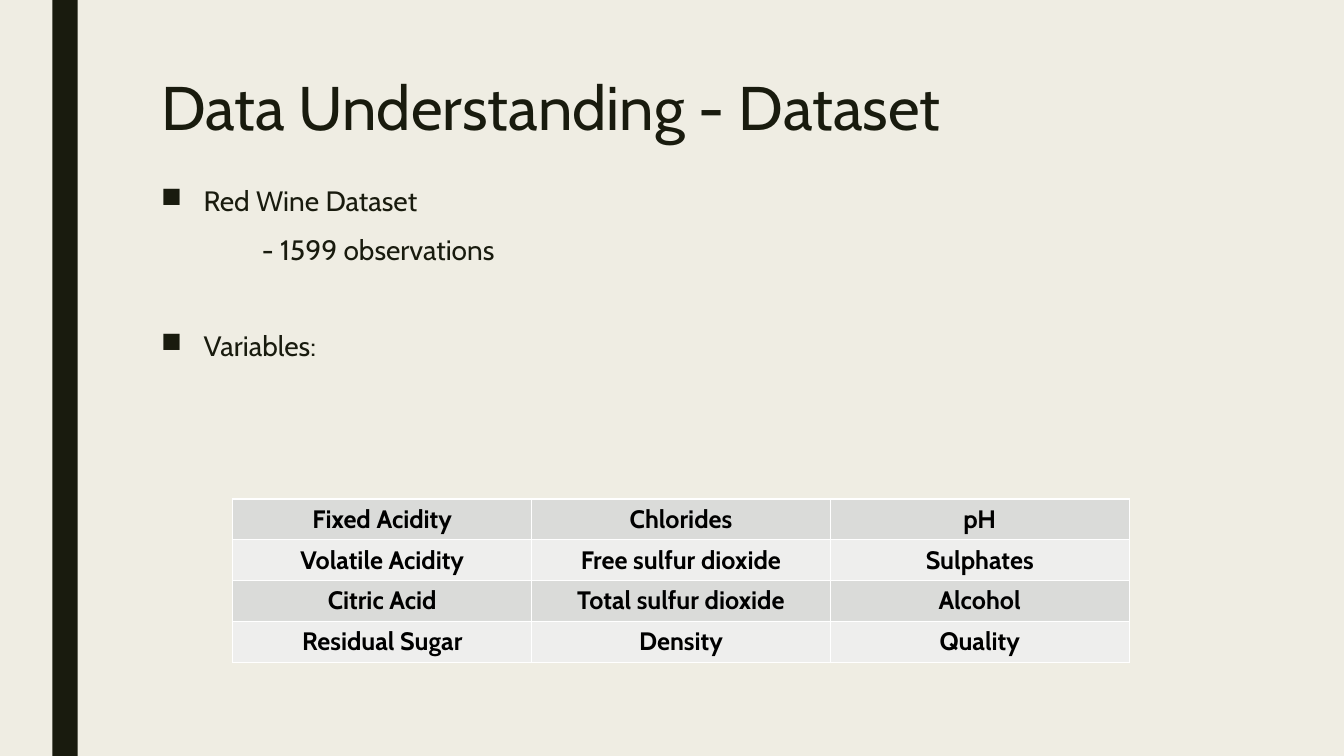
import dataclasses

import lxml.etree
import pptx
import pptx.dml.color
import pptx.enum.shapes
import pptx.enum.text
import pptx.oxml
import pptx.oxml.ns
import pptx.util

Inches = pptx.util.Inches
Pt = pptx.util.Pt
qn = pptx.oxml.ns.qn


@dataclasses.dataclass(frozen=True)
class Theme:
    font: str = "Cabin"
    background: str = "EFEDE3"
    ink: str = "191B0E"
    cell_ink: str = "000000"
    border: str = "FFFFFF"
    bands: tuple = ("DADBD9", "EEEEED")
    title_size: int = 44
    body_size: int = 20
    cell_size: int = 18


THEME = Theme()
BULLET_INDENT = 0.42
VARIABLES = [
    ["Fixed Acidity", "Chlorides", "pH"],
    ["Volatile Acidity", "Free sulfur dioxide", "Sulphates"],
    ["Citric Acid", "Total sulfur dioxide", "Alcohol"],
    ["Residual Sugar", "Density", "Quality"],
]


def set_fill(fill, color):
    fill.solid()
    fill.fore_color.rgb = pptx.dml.color.RGBColor.from_string(color)


def format_runs(p, size, color, bold=False):
    for r in p.runs:
        r.font.name = THEME.font
        r.font.size = Pt(size)
        r.font.bold = bold
        r.font.color.rgb = pptx.dml.color.RGBColor.from_string(color)


def set_indent(p, left, first=0, bullet=None):
    pPr = p._p.get_or_add_pPr()
    pPr.set("marL", str(Inches(left)))
    pPr.set("indent", str(Inches(first)))
    if bullet:
        lxml.etree.SubElement(pPr, qn("a:buChar")).set("char", bullet)


def add_side_bar(s, left, top, width, height):
    sp = s.shapes.add_shape(
        pptx.enum.shapes.MSO_SHAPE.RECTANGLE,
        Inches(left), Inches(top), Inches(width), Inches(height))
    sp.shadow.inherit = False
    set_fill(sp.fill, THEME.ink)
    sp.line.fill.background()


def place_title(s, left, top, width, height):
    sp = s.shapes.title
    sp.left, sp.top = Inches(left), Inches(top)
    sp.width, sp.height = Inches(width), Inches(height)
    tf = sp.text_frame
    tf.text = "Data Understanding - Dataset"
    tf.word_wrap = True
    tf.auto_size = pptx.enum.text.MSO_AUTO_SIZE.NONE
    tf.vertical_anchor = pptx.enum.text.MSO_ANCHOR.TOP
    p = tf.paragraphs[0]
    p.alignment = pptx.enum.text.PP_ALIGN.LEFT
    p.line_spacing = 0.89
    format_runs(p, THEME.title_size, THEME.ink)


def add_body(s, left, top, width, height):
    sp = s.shapes.add_textbox(Inches(left), Inches(top), Inches(width), Inches(height))
    tf = sp.text_frame
    tf.word_wrap = True
    tf.text = "Red Wine Dataset\n- 1599 observations\nVariables:"
    for p in tf.paragraphs:
        p.line_spacing = 0.94
        p.space_before = Pt(10)
        p.space_after = Pt(2)
        format_runs(p, THEME.body_size, THEME.ink)
    dataset, observations, variables = tf.paragraphs
    variables.space_before = Pt(44.5)
    set_indent(observations, 1)
    for p in (dataset, variables):
        set_indent(p, BULLET_INDENT, -BULLET_INDENT, "■")


def set_borders(cell):
    tcPr = cell._tc.get_or_add_tcPr()
    for i, side in enumerate(("lnL", "lnR", "lnT", "lnB")):
        ln = pptx.oxml.parse_xml(
            f'<a:{side} {pptx.oxml.ns.nsdecls("a")} w="{Pt(1)}"><a:solidFill>'
            f'<a:srgbClr val="{THEME.border}"/></a:solidFill></a:{side}>')
        tcPr.insert(i, ln)


def add_variables_table(s, left, top, width, height):
    table = s.shapes.add_table(
        len(VARIABLES), len(VARIABLES[0]),
        Inches(left), Inches(top), Inches(width), Inches(height)).table
    table.first_row = False
    for i, names in enumerate(VARIABLES):
        for j, name in enumerate(names):
            cell = table.cell(i, j)
            cell.text = name
            set_fill(cell.fill, THEME.bands[i % 2])
            set_borders(cell)
            p = cell.text_frame.paragraphs[0]
            p.alignment = pptx.enum.text.PP_ALIGN.CENTER
            format_runs(p, THEME.cell_size, THEME.cell_ink, bold=True)


def add_dataset_slide(prs):
    s = prs.slides.add_slide(prs.slide_layouts.get_by_name("Title Only"))
    set_fill(s.background.fill, THEME.background)
    add_side_bar(s, 0.52, 0, 0.25, 7.5)
    place_title(s, 1.5, 0.72, 10.5, 1.62)
    add_body(s, 1.5, 1.8, 11.59, 5.7)
    add_variables_table(s, 2.31, 4.95, 8.89, 1.62)


def main():
    prs = pptx.Presentation()
    prs.slide_width = Inches(13.33)
    prs.slide_height = Inches(7.5)
    add_dataset_slide(prs)
    prs.save("out.pptx")


if __name__ == "__main__":
    main()
